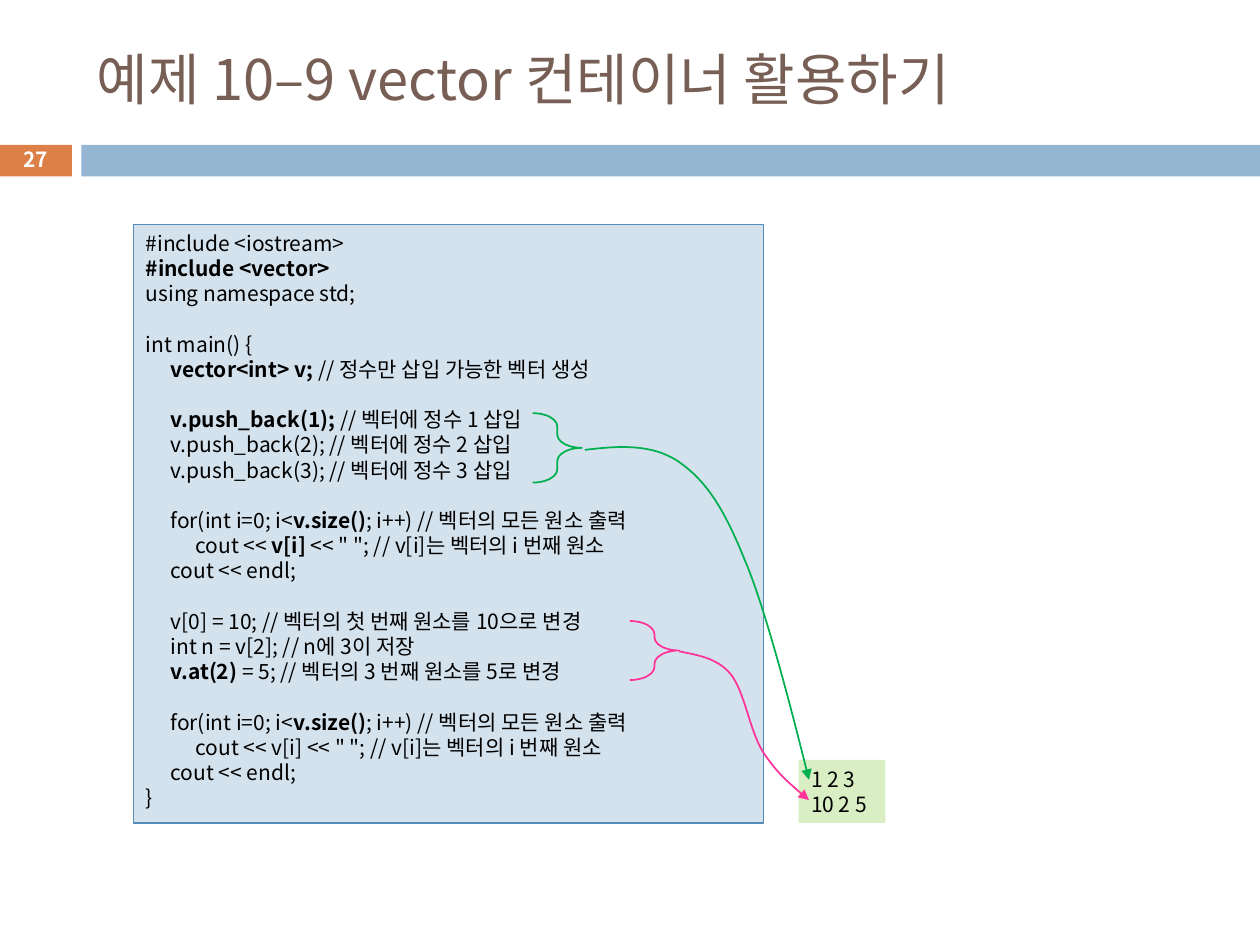
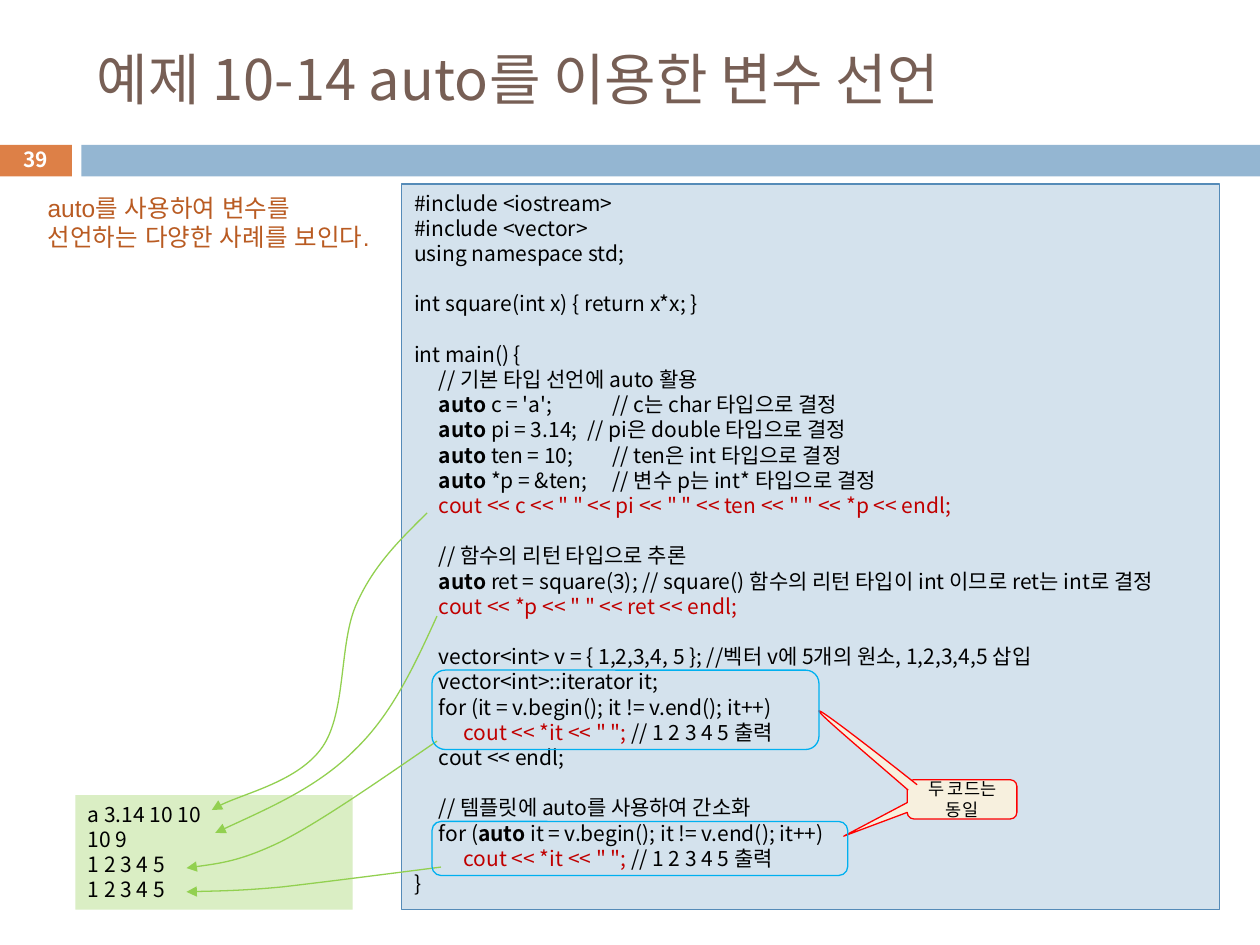
from dataclasses import dataclass

from pptx import Presentation
from pptx.dml.color import RGBColor
from pptx.enum.shapes import MSO_SHAPE
from pptx.enum.text import MSO_ANCHOR, MSO_AUTO_SIZE, PP_ALIGN
from pptx.oxml.ns import qn
from pptx.oxml.xmlchemy import OxmlElement
from pptx.util import Cm, Pt

RECT = MSO_SHAPE.RECTANGLE
ROUNDED = MSO_SHAPE.ROUNDED_RECTANGLE
BRACE = MSO_SHAPE.RIGHT_BRACE
CALLOUT = MSO_SHAPE.ROUNDED_RECTANGULAR_CALLOUT
TOP, MIDDLE = MSO_ANCHOR.TOP, MSO_ANCHOR.MIDDLE
LEFT, CENTER = PP_ALIGN.LEFT, PP_ALIGN.CENTER
TITLE_ONLY = 5


@dataclass(frozen=True)
class Theme:
    font: str = "Noto Sans CJK KR"
    note_font: str = "Arial"
    title: str = "775F55"
    number_band: str = "DD8047"
    band: str = "94B6D2"
    white: str = "FFFFFF"
    text: str = "000000"
    output_call: str = "C00000"
    note: str = "B95B22"
    code_fill: str = "D4E2ED"
    code_line: str = "558BB8"
    result_fill: str = "DAEEC4"
    callout_fill: str = "F7F0DE"
    callout_line: str = "FF0000"
    frame: str = "00B0F0"
    green: str = "00B050"
    pink: str = "FF3399"
    lime: str = "92D050"
    title_size: float = 32
    note_size: float = 14
    code_size: float = 12
    number_size: float = 11.9
    callout_size: float = 10
    leading: float = 1.2
    thin: float = 0.75
    medium: float = 1


THEME = Theme()
TAB_STEP, TAB_COUNT = 0.5, 8


def bold(text):
    return text, "bold"


def red(text):
    return text, "red"


# Content: code is a list of blocks, a block is a list of lines,
# and a line is either a string or a tuple of spans
VECTOR_CODE = [
    ["#include <iostream>", (bold("#include <vector>"),), "using namespace std;"],
    ["int main() {",
     ("\t", bold("vector<int> v; "), "// 정수만 삽입 가능한 벡터 생성")],
    [("\t", bold("v.push_back(1); "), "// 벡터에 정수 1 삽입"),
     "\tv.push_back(2); // 벡터에 정수 2 삽입",
     "\tv.push_back(3); // 벡터에 정수 3 삽입"],
    [("\tfor(int i=0; i<", bold("v.size()"), "; i++) // 벡터의 모든 원소 출력"),
     ("\t\tcout << ", bold("v[i] "), '<< " "; // v[i]는 벡터의 i 번째 원소'),
     "\tcout << endl;"],
    ["\tv[0] = 10; // 벡터의 첫 번째 원소를 10으로 변경",
     "\tint n = v[2]; // n에 3이 저장",
     (bold("\tv.at(2)"), " = 5; // 벡터의 3 번째 원소를 5로 변경")],
    [("\tfor(int i=0; i<", bold("v.size()"), "; i++) // 벡터의 모든 원소 출력"),
     '\t\tcout << v[i] << " "; // v[i]는 벡터의 i 번째 원소',
     "\tcout << endl;",
     "}"],
]

PRINT_ITEM = ("\t\t", red('cout << *it << " "; '), "// 1 2 3 4 5 출력")
AUTO = bold("auto ")
AUTO_CODE = [
    ["#include <iostream>", "#include <vector>", "using namespace std;"],
    ["int square(int x) { return x*x; }"],
    ["int main() {",
     "\t// 기본 타입 선언에 auto 활용",
     ("\t", AUTO, "c = 'a'; \t\t\t// c는 char 타입으로 결정"),
     ("\t", AUTO, "pi = 3.14; \t// pi은 double 타입으로 결정"),
     ("\t", AUTO, "ten = 10; \t\t// ten은 int 타입으로 결정"),
     ("\t", AUTO, "*p = &ten; \t// 변수 p는 int* 타입으로 결정"),
     ("\t", red('cout << c << " " << pi << " " << ten << " " << *p << endl;'))],
    ["\t// 함수의 리턴 타입으로 추론",
     ("\t", AUTO, "ret = square(3); // square() 함수의 리턴 타입이 int 이므로 ret는 int로 결정"),
     ("\t", red('cout << *p << " " << ret << endl;'))],
    ["\tvector<int> v = { 1,2,3,4, 5 }; //벡터 v에 5개의 원소, 1,2,3,4,5 삽입",
     "\tvector<int>::iterator it;",
     "\tfor (it = v.begin(); it != v.end(); it++)",
     PRINT_ITEM,
     "\tcout << endl;"],
    ["\t// 템플릿에 auto를 사용하여 간소화",
     ("\tfor (", bold("auto"), " it = v.begin(); it != v.end(); it++)"),
     PRINT_ITEM,
     "}"],
]

# Places in centimetres: boxes are left, top, width, height;
# curves are a start point, then two handles and an end point per bend
VECTOR_PAGE = {
    "title": "예제 10–9 vector 컨테이너 활용하기",
    "number": "27",
    "code": (VECTOR_CODE, (2.69, 4.52, 12.7, 12.07)),
    "result": (["1 2 3", "10 2 5"], (16.1, 15.32, 1.75, 1.27)),
    "curves": [
        (THEME.green, THEME.medium,
         [(11.79, 9.07), (12.45, 8.99), (13.13, 8.94), (13.67, 9.3),
          (14.22, 9.68), (14.58, 10.21), (15.01, 11.28),
          (15.47, 12.34), (16.31, 15.72), (16.31, 15.72)]),
        (THEME.pink, THEME.medium,
         [(13.69, 13.13), (14.07, 13.21), (14.45, 13.26), (14.73, 13.59),
          (15.01, 13.94), (15.11, 14.71), (15.37, 15.14),
          (15.65, 15.57), (15.98, 15.85), (16.31, 16.13)]),
    ],
}
BRACES = [(THEME.green, (10.74, 8.33, 0.99, 1.4)),
          (THEME.pink, (12.7, 12.52, 0.99, 1.19))]

AUTO_PAGE = {
    "title": "예제 10-14 auto를 이용한 변수 선언",
    "number": "39",
    "code": (AUTO_CODE, (8.1, 3.71, 16.48, 14.63)),
    "result": (["a 3.14 10 10", "10 9", "1 2 3 4 5", "1 2 3 4 5"],
               (1.52, 16.03, 5.59, 2.31)),
    "curves": [(THEME.lime, THEME.thin, points) for points in (
        [(8.61, 10.34), (8.08, 10.87), (7.54, 11.38), (7.19, 12.17),
         (6.83, 12.95), (6.99, 14.35), (6.5, 15.06),
         (6.02, 15.75), (4.67, 16.05), (4.27, 16.33)],
        [(8.81, 12.42), (8.36, 13.41), (7.9, 14.4), (7.16, 15.11),
         (6.43, 15.85), (5.38, 16.31), (4.34, 16.79)],
        [(8.81, 14.94), (7.67, 15.72), (6.5, 16.54), (5.66, 16.97),
         (4.83, 17.37), (4.29, 17.42), (3.76, 17.5)],
        [(8.89, 17.48), (7.72, 17.63), (6.55, 17.78), (5.69, 17.88),
         (4.83, 17.96), (4.29, 17.96), (3.76, 17.98)],
    )],
}
NOTE = ("auto를 사용하여 변수를 선언하는 다양한 사례를 보인다.", (0.71, 3.76, 7.01, 1.45))
SAME_CODE = (["두 코드는", "동일"], (18.29, 15.72, 2.21, 0.79))
SECOND_POINTER = [(18.31, 15.93), (17.4, 15.14), (16.46, 14.35), (16.51, 14.33),
                  (16.54, 14.3), (17.53, 15.06), (18.49, 15.82)]
FRAMES = [(8.71, 13.51, 7.8, 1.6), (8.71, 16.56, 8.38, 1.09)]

TITLE_BOX = (1.7, 0.64, 22.66, 1.88)
NUMBER_BOX = (0, 2.87, 1.45, 0.69)
BANDS = [(THEME.number_band, (0, 2.92, 1.45, 0.64)),
         (THEME.band, (1.64, 2.92, 23.76, 0.64))]


# Drawing helpers
def lengths(values):
    return [Cm(value) for value in values]


def paint(shape, fill=None, line=None, width=THEME.thin):
    shape.shadow.inherit = False
    if fill:
        shape.fill.solid()
        shape.fill.fore_color.rgb = RGBColor.from_string(fill)
    else:
        shape.fill.background()
    if line:
        shape.line.color.rgb = RGBColor.from_string(line)
        shape.line.width = Pt(width)
    else:
        shape.line.fill.background()


def add_box(page, kind, box, fill=None, line=None, width=THEME.thin):
    shape = page.shapes.add_shape(kind, *lengths(box))
    paint(shape, fill, line, width)
    return shape


def add_curve(page, points, color, width, fill=None, arrow=True):
    start, *rest = [tuple(lengths(point)) for point in points]
    builder = page.shapes.build_freeform(*start)
    builder.add_line_segments(rest, close=False)
    shape = builder.convert_to_shape()
    paint(shape, fill, color, width)
    # Turn every three straight segments into one bend
    segments = shape.element.xpath(".//a:lnTo")
    for first in range(0, len(segments), 3):
        bend = OxmlElement("a:cubicBezTo")
        segments[first].addprevious(bend)
        for segment in segments[first:first + 3]:
            bend.append(segment[0])
            segment.getparent().remove(segment)
    if arrow:
        head = OxmlElement("a:tailEnd")
        head.set("type", "triangle")
        shape.element.spPr.find(qn("a:ln")).append(head)


def style_span(span, size, color, font, strong):
    span.font.size = Pt(size)
    span.font.bold = strong
    span.font.name = font
    span.font.color.rgb = RGBColor.from_string(color)
    east_asian = OxmlElement("a:ea")
    east_asian.set("typeface", font)
    span.font._element.find(qn("a:latin")).addnext(east_asian)


def write(shape, lines, size, color=THEME.text, font=THEME.font,
          strong=False, align=LEFT, anchor=TOP):
    frame = shape.text_frame
    frame.word_wrap = True
    frame.auto_size = MSO_AUTO_SIZE.NONE
    frame.vertical_anchor = anchor
    for index, line in enumerate(lines):
        para = frame.add_paragraph() if index else frame.paragraphs[0]
        para.alignment = align
        para.line_spacing = Pt(size * THEME.leading)
        for part in (line,) if isinstance(line, str) else line:
            text, mark = (part, None) if isinstance(part, str) else part
            span = para.add_run()
            span.text = text
            style_span(span, size, THEME.output_call if mark == "red" else color,
                       font, strong or mark == "bold")
    return frame


def add_code(page, blocks, box):
    shape = add_box(page, RECT, box, THEME.code_fill, THEME.code_line)
    size = THEME.code_size
    frame = write(shape, [line for block in blocks for line in block], size)
    for para in frame.paragraphs:
        stops = OxmlElement("a:tabLst")
        for number in range(1, TAB_COUNT + 1):
            stop = OxmlElement("a:tab")
            stop.set("pos", str(Cm(TAB_STEP * number)))
            stop.set("algn", "l")
            stops.append(stop)
        para._p.get_or_add_pPr().append(stops)
    # One line of space ahead of each later block
    position = 0
    for block in blocks[:-1]:
        position += len(block)
        frame.paragraphs[position].space_before = Pt(size * THEME.leading)


def add_page(deck, content):
    page = deck.slides.add_slide(deck.slide_layouts[TITLE_ONLY])
    for color, box in BANDS:
        add_box(page, RECT, box, color)
    title = page.shapes.title
    title.left, title.top, title.width, title.height = lengths(TITLE_BOX)
    write(title, [content["title"]], THEME.title_size, THEME.title, anchor=MIDDLE)
    number = page.shapes.add_textbox(*lengths(NUMBER_BOX))
    write(number, [content["number"]], THEME.number_size, THEME.white,
          strong=True, align=CENTER, anchor=MIDDLE)
    add_code(page, *content["code"])
    lines, box = content["result"]
    write(add_box(page, RECT, box, THEME.result_fill), lines, THEME.code_size)
    for color, width, points in content["curves"]:
        add_curve(page, points, color, width)
    return page


def main():
    deck = Presentation()
    deck.slide_width, deck.slide_height = Cm(25.4), Cm(19.05)

    # Vector example with braces around the changed lines
    page = add_page(deck, VECTOR_PAGE)
    for color, box in BRACES:
        brace = add_box(page, BRACE, box, line=color, width=THEME.medium)
        brace.adjustments[0] = 0.27

    # Auto example with a callout that points at both loops
    page = add_page(deck, AUTO_PAGE)
    text, box = NOTE
    write(page.shapes.add_textbox(*lengths(box)), [text],
          THEME.note_size, THEME.note, THEME.note_font)
    lines, box = SAME_CODE
    callout = add_box(page, CALLOUT, box, THEME.callout_fill, THEME.callout_line)
    callout.adjustments[0], callout.adjustments[1] = -1.08, 0.94
    write(callout, lines, THEME.callout_size, align=CENTER, anchor=MIDDLE)
    add_curve(page, SECOND_POINTER, THEME.callout_line, THEME.thin,
              THEME.callout_fill, arrow=False)
    for box in FRAMES:
        add_box(page, ROUNDED, box, line=THEME.frame)

    deck.save("out.pptx")


if __name__ == "__main__":
    main()
